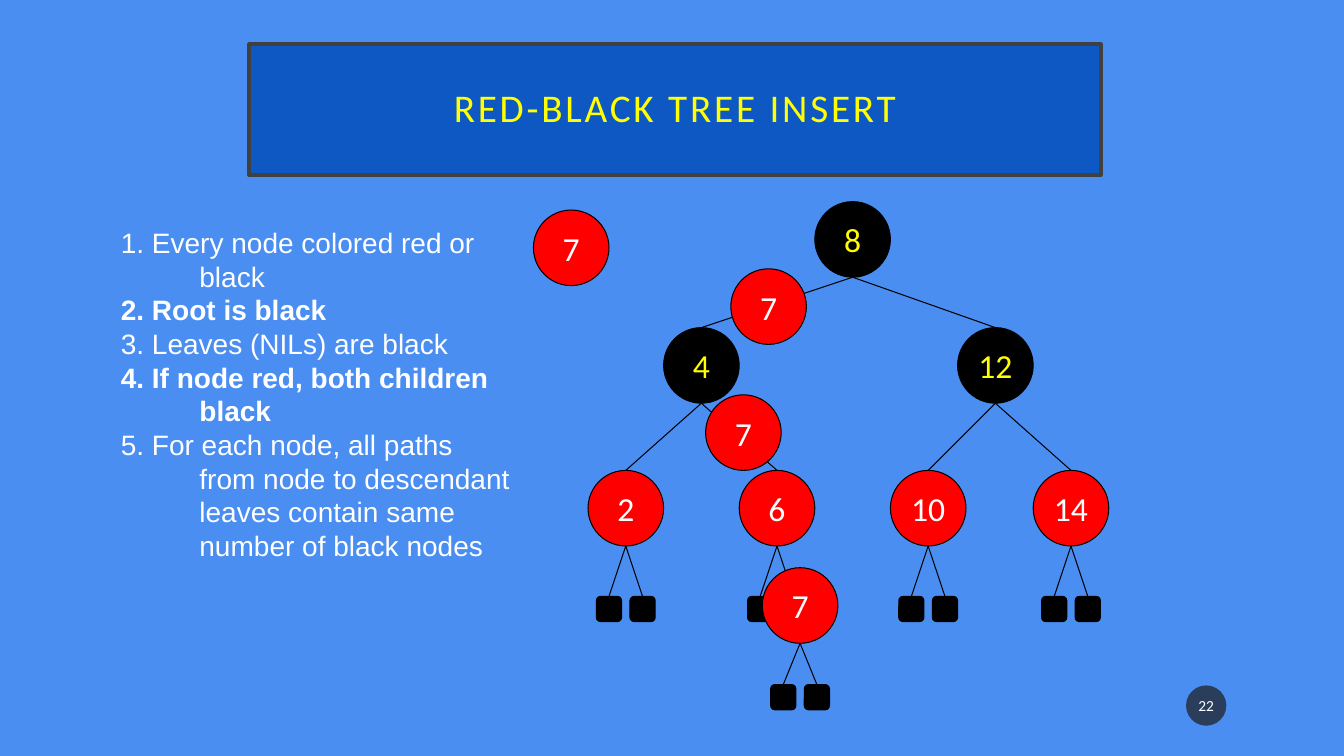
from dataclasses import dataclass

from lxml.etree import SubElement
from pptx import Presentation
from pptx.dml.color import RGBColor
from pptx.enum.shapes import MSO_CONNECTOR as Conn, MSO_SHAPE as Kind
from pptx.enum.text import MSO_ANCHOR as Anchor, PP_ALIGN as Align
from pptx.oxml.ns import qn
from pptx.util import Pt

SKY = RGBColor(0x4A, 0x8E, 0xF2)
BLUE = RGBColor(0x0E, 0x58, 0xC4)
GRAY = RGBColor(0x40, 0x40, 0x40)
DARK = RGBColor(0x1D, 0x1D, 0x1D)
BLACK = RGBColor(0, 0, 0)
RED = RGBColor(0xFF, 0, 0)
WHITE = RGBColor(0xFF, 0xFF, 0xFF)
YELLOW = RGBColor(0xFF, 0xFF, 0)

NODE = 54   # node diameter
LEAF = 18   # side of a NIL leaf
GAP = 12    # leaf centre to node centre


@dataclass
class Node:
    label: str
    mid: float
    top: float
    fill: RGBColor = RED
    kids: tuple[str, ...] = ()
    nils: float | None = None   # top of the two NIL leaves


@dataclass
class Rule:
    text: str
    bold: bool = False


TREE = [
    Node("8", 609, 144, BLACK, ("4", "12")),
    Node("4", 501, 234, BLACK, ("2", "6")),
    Node("12", 711, 234, BLACK, ("10", "14")),
    *(Node(key, mid, 336, nils=426)
      for key, mid in (("2", 447), ("6", 555), ("10", 663), ("14", 765))),
]
STEPS = [
    Node("7", 408, 150),
    Node("7", 531, 282),
    Node("7", 549, 192),
    Node("7", 571.5, 405.5, nils=489),
]
RULES = [
    Rule("1. Every node colored red or black"),
    Rule("2. Root is black", True),
    Rule("3. Leaves (NILs) are black"),
    Rule("4. If node red, both children black", True),
    Rule("5. For each node, all paths from node to descendant "
         "leaves contain same number of black nodes"),
]

deck = Presentation()
deck.slide_width, deck.slide_height = Pt(960), Pt(540)
slide = deck.slides.add_slide(deck.slide_layouts[6])
slide.background.fill.solid()
slide.background.fill.fore_color.rgb = SKY


def add_form(kind: Kind, x: float, y: float, w: float, h: float,
             fill: RGBColor, line: RGBColor | None = BLACK,
             width: float = 0.75):
    form = slide.shapes.add_shape(kind, Pt(x), Pt(y), Pt(w), Pt(h))
    form.shadow.inherit = False
    form.fill.solid()
    form.fill.fore_color.rgb = fill
    if line is None:
        form.line.fill.background()
    else:
        form.line.color.rgb = line
        form.line.width = Pt(width)
    return form


def set_text(form, text: str, size: float, color: RGBColor,
             wrap: bool = True):
    frame = form.text_frame
    frame.word_wrap = wrap
    frame.vertical_anchor = Anchor.MIDDLE
    para = frame.paragraphs[0]
    para.text = text
    para.alignment = Align.CENTER
    font = para.font
    font.name, font.size, font.color.rgb = "Calibri", Pt(size), color
    return para


def set_pad(form, side: float, end: float) -> None:
    frame = form.text_frame
    frame.margin_left = frame.margin_right = Pt(side)
    frame.margin_top = frame.margin_bottom = Pt(end)


def add_edge(x1: float, y1: float, x2: float, y2: float) -> None:
    edge = slide.shapes.add_connector(
        Conn.STRAIGHT, Pt(x1), Pt(y1), Pt(x2), Pt(y2))
    edge.line.color.rgb = BLACK
    edge.line.width = Pt(0.75)
    SubElement(edge._element.spPr, qn("a:effectLst"))


def add_node(node: Node) -> None:
    disc = add_form(Kind.OVAL, node.mid - NODE / 2, node.top,
                    NODE, NODE, node.fill)
    set_text(disc, node.label, 24,
             YELLOW if node.fill == BLACK else WHITE, wrap=False)
    base = node.top + NODE
    for key in node.kids:
        kid = next(item for item in TREE if item.label == key)
        add_edge(node.mid, base, kid.mid, kid.top)
    if node.nils is not None:
        for mid in (node.mid - GAP, node.mid + GAP):
            add_form(Kind.ROUNDED_RECTANGLE, mid - LEAF / 2, node.nils,
                     LEAF, LEAF, BLACK)
            add_edge(node.mid, base, mid, node.nils)


# Page number
badge = add_form(Kind.OVAL, 847.2, 489.6, 28.8, 28.8, DARK, None)
tint = badge._element.spPr.find(qn("a:solidFill"))[0]
SubElement(tint, qn("a:alpha")).set("val", "70000")
set_text(badge, "22", 11, WHITE)
set_pad(badge, 1.44, 3.6)

# Title
title = add_form(Kind.RECTANGLE, 178, 31.5, 608.4, 93.6, BLUE, GRAY, 2.5)
head = set_text(title, "RED-BLACK TREE INSERT", 28, YELLOW)
head.line_spacing = 0.9
head.runs[0].font._element.set("spc", "200")
set_pad(title, 14.4, 14.4)

# Tree, then the places the new node passes through
for node in TREE + STEPS:
    add_node(node)

# Rules
box = slide.shapes.add_textbox(Pt(79.2), Pt(157.7), Pt(293.8), Pt(342))
frame = box.text_frame
frame.word_wrap = True
for pos, rule in enumerate(RULES):
    para = frame.add_paragraph() if pos else frame.paragraphs[0]
    para.text = rule.text
    props = para._p.get_or_add_pPr()
    props.set("marL", str(Pt(56.16)))
    props.set("indent", str(Pt(-56.16)))
    font = para.font
    font.name, font.size, font.bold = "Arial", Pt(20), rule.bold
    font.color.rgb = WHITE

deck.save("out.pptx")
